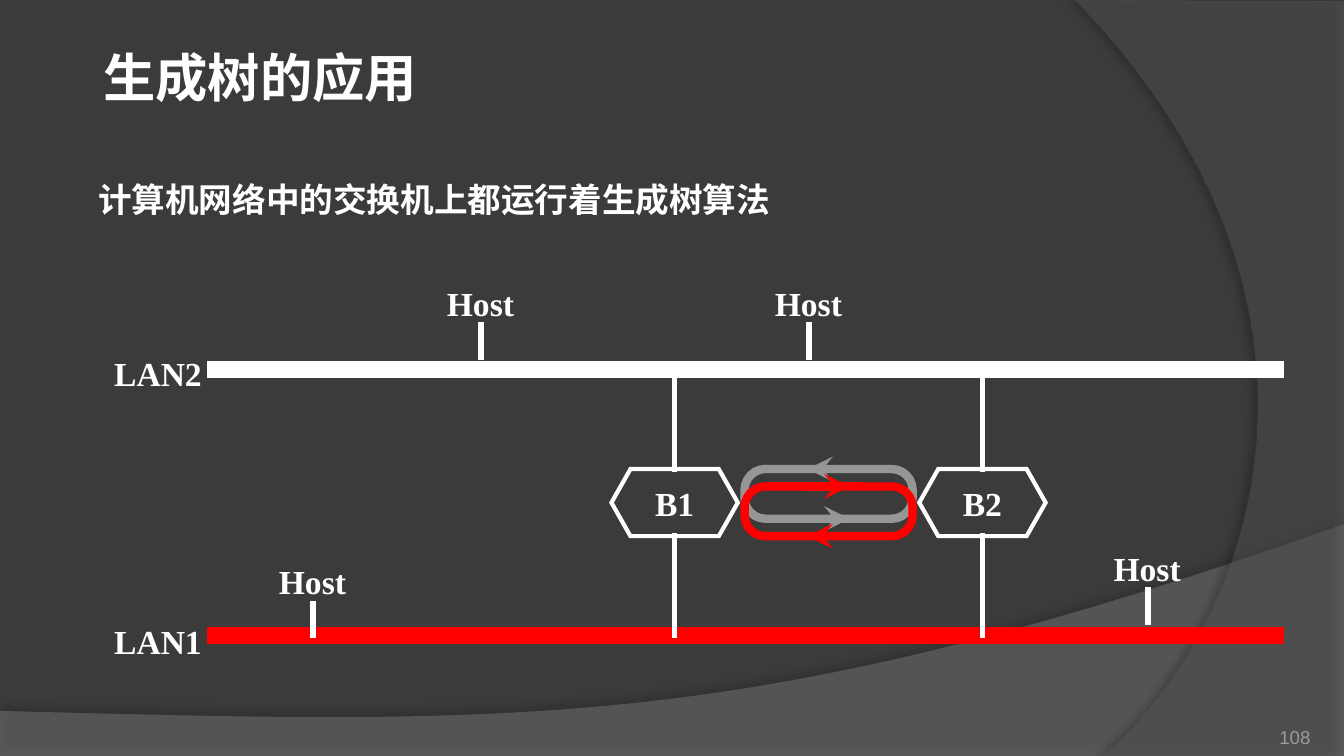
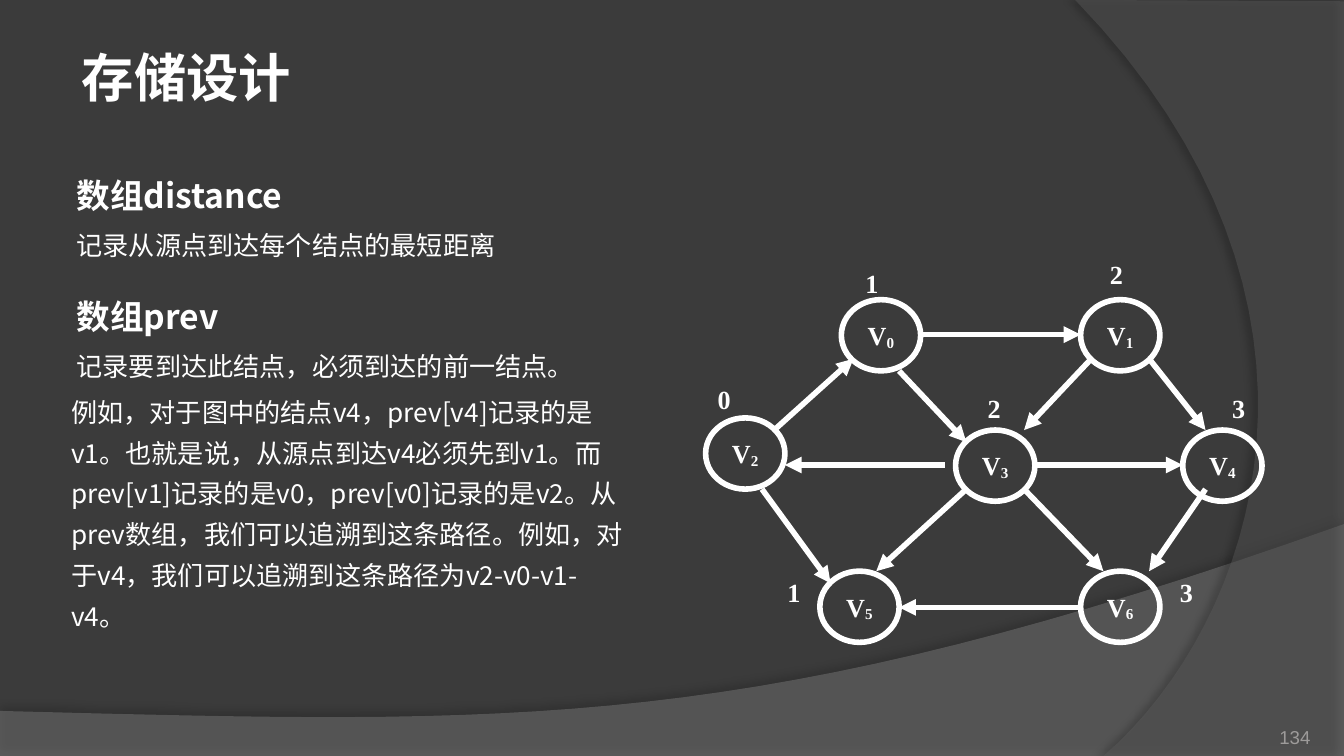
"""Build two slides on spanning trees and shortest-path storage."""
from typing import NamedTuple, Optional

from lxml.etree import SubElement
from pptx import Presentation
from pptx.dml.color import RGBColor
from pptx.enum.shapes import MSO_CONNECTOR, MSO_SHAPE
from pptx.enum.text import MSO_ANCHOR, MSO_AUTO_SIZE, PP_ALIGN
from pptx.oxml.ns import qn
from pptx.util import Inches, Pt

BACKGROUND = RGBColor(0x3B, 0x3B, 0x3B)
BOTTOM_BAND = RGBColor(0x7F, 0x7F, 0x7F)
SIDE_BAND = RGBColor(0x5E, 0x5E, 0x5E)
WHITE = RGBColor(0xFF, 0xFF, 0xFF)
RED = RGBColor(0xFF, 0x00, 0x00)
GRAY = RGBColor(0x96, 0x96, 0x96)
NUMBER_GRAY = RGBColor(0x9D, 0x9B, 0x9A)
SANS, CHINESE, SERIF = "Arial", "Noto Sans CJK SC", "Times New Roman"
WIDTH = 10
HEIGHT = WIDTH * 9 / 16
CURVE_STEPS = 32


class Box(NamedTuple):
    left: float
    top: float
    width: float
    height: float


class Point(NamedTuple):
    x: float
    y: float


class Style(NamedTuple):
    size: float
    font: str = SERIF
    bold: bool = True
    color: RGBColor = WHITE
    align: PP_ALIGN = PP_ALIGN.LEFT


class Band(NamedTuple):
    curve: tuple[Point, Point, Point, Point]
    corners: tuple[Point, ...]
    color: RGBColor
    opacity: int
    shadow_opacity: int
    shadow_distance: float
    shadow_angle: int


class BodyLine(NamedTuple):
    text: str
    style: Style
    space_before: Optional[float] = None
    hanging: bool = True


class Node(NamedTuple):
    left: float
    top: float
    distance: str
    distance_left: float
    distance_top: float


class Edge(NamedTuple):
    start: Point
    end: Point


class Loop(NamedTuple):
    top: float
    color: RGBColor
    clockwise: bool


BANDS = (
    Band((Point(10, 3.9), Point(5.59, 5.47), Point(3.91, 5.39), Point(0, 5.29)),
         (Point(0, HEIGHT), Point(WIDTH, HEIGHT)), BOTTOM_BAND, 45, 35, 3.5, 270),
    Band((Point(8.21, HEIGHT), Point(9.35, 4.64), Point(10.18, 2.25), Point(8, 0)),
         (Point(WIDTH, 0.01), Point(WIDTH, HEIGHT)), SIDE_BAND, 40, 45, 4, 180),
)

LABEL = Style(18, align=PP_ALIGN.CENTER)
LAN_LABEL = Style(18, align=PP_ALIGN.RIGHT)
NODE_LABEL = Style(14, align=PP_ALIGN.CENTER)
DISTANCE_LABEL = Style(14)
TITLE = Style(28, CHINESE)
HEADING = Style(18, CHINESE)
DETAIL = Style(14, CHINESE, bold=False)
PAGE_NUMBER = Style(10, SANS, False, NUMBER_GRAY, PP_ALIGN.RIGHT)

LAN2_Y, LAN1_Y = 2.75, 4.73
LANS = (("LAN2", LAN2_Y, 2.58, WHITE), ("LAN1", LAN1_Y, 4.57, RED))
BRIDGES = (("B1", 5.02), ("B2", 7.31))
BRIDGE_TOP, BRIDGE_BOTTOM, BRIDGE_WIDTH = 3.49, 3.99, 0.94
HOSTS = (Point(2.33, 4.17), Point(3.58, 2.1), Point(6.02, 2.1), Point(8.54, 4.07))
LOOPS = (Loop(3.49, GRAY, False), Loop(3.62, RED, True))
LOOP_HEIGHT = 0.37

NODE_WIDTH, NODE_HEIGHT = 0.59, 0.53
NODES = (
    Node(6.26, 2.23, "1", 6.34, 1.94),
    Node(8.04, 2.23, "2", 8.16, 1.87),
    Node(5.25, 3.11, "0", 5.24, 2.8),
    Node(7.11, 3.2, "2", 7.25, 2.87),
    Node(8.8, 3.2, "3", 9.07, 2.87),
    Node(6.1, 4.25, "1", 5.76, 4.24),
    Node(8.04, 4.25, "3", 8.68, 4.24),
)
EDGES = (
    Edge(Point(5.76, 3.2), Point(6.35, 2.67)),
    Edge(Point(6.86, 2.49), Point(8.04, 2.49)),
    Edge(Point(5.67, 3.64), Point(6.18, 4.34)),
    Edge(Point(6.69, 2.76), Point(7.19, 3.29)),
    Edge(Point(8.12, 2.67), Point(7.62, 3.2)),
    Edge(Point(8.55, 2.67), Point(8.97, 3.2)),
    Edge(Point(7.03, 3.46), Point(5.84, 3.46)),
    Edge(Point(7.19, 3.64), Point(6.52, 4.25)),
    Edge(Point(7.62, 3.64), Point(8.21, 4.25)),
    Edge(Point(7.7, 3.46), Point(8.8, 3.46)),
    Edge(Point(8.97, 3.64), Point(8.55, 4.25)),
    Edge(Point(8.04, 4.52), Point(6.69, 4.52)),
)

SWITCH_LINES = (BodyLine("计算机网络中的交换机上都运行着生成树算法", Style(18, SANS)),)
STORAGE_LINES = (
    BodyLine("数组distance", HEADING),
    BodyLine("记录从源点到达每个结点的最短距离", DETAIL),
    BodyLine("数组prev", HEADING, space_before=12),
    BodyLine("记录要到达此结点，必须到达的前一结点。", DETAIL),
    BodyLine("例如，对于图中的结点v4，prev[v4]记录的是v1。也就是说，从源点到达v4必须先到v1。"
             "而prev[v1]记录的是v0，prev[v0]记录的是v2。从prev数组，我们可以追溯到这条路径。"
             "例如，对于v4，我们可以追溯到这条路径为v2-v0-v1-v4。", DETAIL, hanging=False),
)


def style_paragraph(paragraph, style: Style) -> None:
    """Apply alignment and font to a whole paragraph."""
    paragraph.alignment = style.align
    font = paragraph.font
    font.size, font.bold, font.name = Pt(style.size), style.bold, style.font
    font.color.rgb = style.color
    properties = paragraph._p.pPr.find(qn("a:defRPr"))
    SubElement(properties, qn("a:ea"), typeface=CHINESE)


def place(shape, box: Box) -> None:
    """Move and size a shape."""
    shape.left, shape.top, shape.width, shape.height = map(Inches, box)


def add_label(slide, text: str, box: Box, style: Style, wrap: bool = True,
              anchor: MSO_ANCHOR = MSO_ANCHOR.TOP):
    """Add a one-paragraph text box."""
    frame = slide.shapes.add_textbox(*map(Inches, box)).text_frame
    frame.word_wrap, frame.vertical_anchor = wrap, anchor
    frame.text = text
    style_paragraph(frame.paragraphs[0], style)
    return frame


def add_outline(slide, kind: MSO_SHAPE, box: Box, color: RGBColor, weight: float):
    """Add an unfilled preset shape with sharp corners."""
    shape = slide.shapes.add_shape(kind, *map(Inches, box))
    shape.shadow.inherit = False
    shape.fill.background()
    shape.line.color.rgb, shape.line.width = color, Pt(weight)
    SubElement(shape.element.spPr.find(qn("a:ln")), qn("a:miter"), lim="800000")
    shape.text_frame.word_wrap = False
    shape.text_frame.vertical_anchor = MSO_ANCHOR.MIDDLE
    return shape


def add_line(slide, start: Point, end: Point, color: RGBColor = WHITE, weight: float = 3,
             arrow: Optional[str] = None, cap: str = "sq") -> None:
    """Add a straight line, with an optional arrowhead at its end."""
    line = slide.shapes.add_connector(MSO_CONNECTOR.STRAIGHT, *map(Inches, start + end))
    line.line.color.rgb, line.line.width = color, Pt(weight)
    properties = line.element.spPr
    stroke = properties.find(qn("a:ln"))
    stroke.set("cap", cap)
    if arrow:
        SubElement(stroke, qn("a:tailEnd"), type=arrow)
    SubElement(properties, qn("a:effectLst"))


def curve_points(curve: tuple[Point, Point, Point, Point]) -> list[Point]:
    """Return points along a cubic curve."""
    points = []
    for step in range(CURVE_STEPS + 1):
        t = step / CURVE_STEPS
        weights = ((1 - t) ** 3, 3 * t * (1 - t) ** 2, 3 * t * t * (1 - t), t ** 3)
        points.append(Point(sum(w * p.x for w, p in zip(weights, curve)),
                            sum(w * p.y for w, p in zip(weights, curve))))
    return points


def add_bands(slide, master) -> None:
    """Draw the curved bands and hand them to the slide master."""
    for index, band in enumerate(BANDS):
        points = [(Inches(x), Inches(y)) for x, y in (*curve_points(band.curve), *band.corners)]
        builder = slide.shapes.build_freeform(*points[0])
        builder.add_line_segments(points[1:], close=True)
        shape = builder.convert_to_shape()
        shape.fill.solid()
        shape.fill.fore_color.rgb = band.color
        shape.line.fill.background()
        properties = shape.element.spPr
        fill_color = properties.find(qn("a:solidFill")).find(qn("a:srgbClr"))
        SubElement(fill_color, qn("a:alpha"), val=str(band.opacity * 1000))
        effects = SubElement(properties, qn("a:effectLst"))
        shadow = SubElement(effects, qn("a:outerShdw"), blurRad=str(Pt(4)),
                            dist=str(Pt(band.shadow_distance)),
                            dir=str(band.shadow_angle * 60000), algn="ctr", rotWithShape="0")
        shadow_color = SubElement(shadow, qn("a:srgbClr"), val="000000")
        SubElement(shadow_color, qn("a:alpha"), val=str(band.shadow_opacity * 1000))
        shape.element.nvSpPr.cNvPr.set("id", str(100 + index))
        master.shapes.element.insert(2 + index, shape.element)


def add_slide(presentation, title: str, title_box: Box, lines: tuple[BodyLine, ...],
              body_box: Box, line_spacing: float, number: str):
    """Add a slide with its title, body text and page number."""
    slide = presentation.slides.add_slide(presentation.slide_layouts[1])
    heading, body = slide.shapes.title, slide.placeholders[1]
    for placeholder, box in ((heading, title_box), (body, body_box)):
        place(placeholder, box)
        frame = placeholder.text_frame
        frame.word_wrap, frame.auto_size = True, MSO_AUTO_SIZE.NONE
        frame.vertical_anchor = MSO_ANCHOR.TOP
    heading.text_frame.text = title
    style_paragraph(heading.text_frame.paragraphs[0], TITLE)
    body.text_frame.text = "\n".join(line.text for line in lines)
    for index, (paragraph, line) in enumerate(zip(body.text_frame.paragraphs, lines)):
        properties = paragraph._p.get_or_add_pPr()
        properties.set("marL", str(Inches(0.46 if line.hanging else 0)))
        properties.set("indent", str(Inches(-0.42 if line.hanging else 0)))
        SubElement(properties, qn("a:buNone"))
        paragraph.line_spacing = line_spacing
        if index == 0:
            paragraph.space_before = Pt(0)
        elif line.space_before is not None:
            paragraph.space_before = Pt(line.space_before)
        style_paragraph(paragraph, line.style)
    frame = add_label(slide, number, Box(8.92, 5.27, 0.83, 0.3), PAGE_NUMBER,
                      anchor=MSO_ANCHOR.BOTTOM)
    frame.margin_left = frame.margin_right = frame.margin_top = frame.margin_bottom = 0
    return slide


def draw_network(slide) -> None:
    """Draw two LANs joined by two bridges, with hosts and looping frames."""
    for name, y, label_top, color in LANS:
        add_line(slide, Point(1.6, y), Point(9.49, y), color, 9)
        add_label(slide, name, Box(0.35, label_top, 1.25, 0.4), LAN_LABEL)
    for name, x in BRIDGES:
        box = Box(x - BRIDGE_WIDTH / 2, BRIDGE_TOP, BRIDGE_WIDTH, BRIDGE_BOTTOM - BRIDGE_TOP)
        bridge = add_outline(slide, MSO_SHAPE.HEXAGON, box, WHITE, 2.25)
        bridge.adjustments[0] = 0.283
        bridge.text_frame.text = name
        style_paragraph(bridge.text_frame.paragraphs[0], LABEL)
        add_line(slide, Point(x, LAN2_Y), Point(x, BRIDGE_TOP))
        add_line(slide, Point(x, BRIDGE_BOTTOM), Point(x, LAN1_Y))
    for x, top in HOSTS:
        add_label(slide, "Host", Box(x - 0.55, top, 1.09, 0.31), LABEL, False, MSO_ANCHOR.MIDDLE)
        add_line(slide, Point(x, top + 0.32), Point(x, top + 0.56))
    for loop in LOOPS:
        ring = add_outline(slide, MSO_SHAPE.ROUNDED_RECTANGLE,
                           Box(5.54, loop.top, 1.25, LOOP_HEIGHT), loop.color, 4.5)
        ring.adjustments[0] = 0.42
        for y, rightward in ((loop.top, loop.clockwise),
                             (loop.top + LOOP_HEIGHT, not loop.clockwise)):
            start, end = (6.01, 6.32) if rightward else (6.32, 6.01)
            add_line(slide, Point(start, y), Point(end, y), loop.color, 4.5, "stealth")


def draw_graph(slide) -> None:
    """Draw the directed graph with the distance beside each node."""
    for index, node in enumerate(NODES):
        circle = add_outline(slide, MSO_SHAPE.OVAL,
                             Box(node.left, node.top, NODE_WIDTH, NODE_HEIGHT), WHITE, 3)
        paragraph = circle.text_frame.paragraphs[0]
        paragraph.add_run().text = "V"
        subscript = paragraph.add_run()
        subscript.text = str(index)
        subscript._r.get_or_add_rPr().set("baseline", "-10000")
        style_paragraph(paragraph, NODE_LABEL)
        add_label(slide, node.distance, Box(node.distance_left, node.distance_top, 0.42, 0.31),
                  DISTANCE_LABEL)
    for edge in EDGES:
        add_line(slide, edge.start, edge.end, arrow="triangle", cap="flat")


def main() -> None:
    """Build and save the presentation."""
    presentation = Presentation()
    presentation.slide_width, presentation.slide_height = Inches(WIDTH), Inches(HEIGHT)
    master = presentation.slide_master
    master.background.fill.solid()
    master.background.fill.fore_color.rgb = BACKGROUND
    network = add_slide(presentation, "生成树的应用", Box(0.67, 0.29, 5.43, 0.57),
                        SWITCH_LINES, Box(0.59, 1.28, 8.81, 1.06), 1, "108")
    add_bands(network, master)
    draw_network(network)
    storage = add_slide(presentation, "存储设计", Box(0.51, 0.29, 4.96, 0.57),
                        STORAGE_LINES, Box(0.43, 1.16, 4.33, 4.04), 1.3, "134")
    draw_graph(storage)
    presentation.save("out.pptx")


if __name__ == "__main__":
    main()
